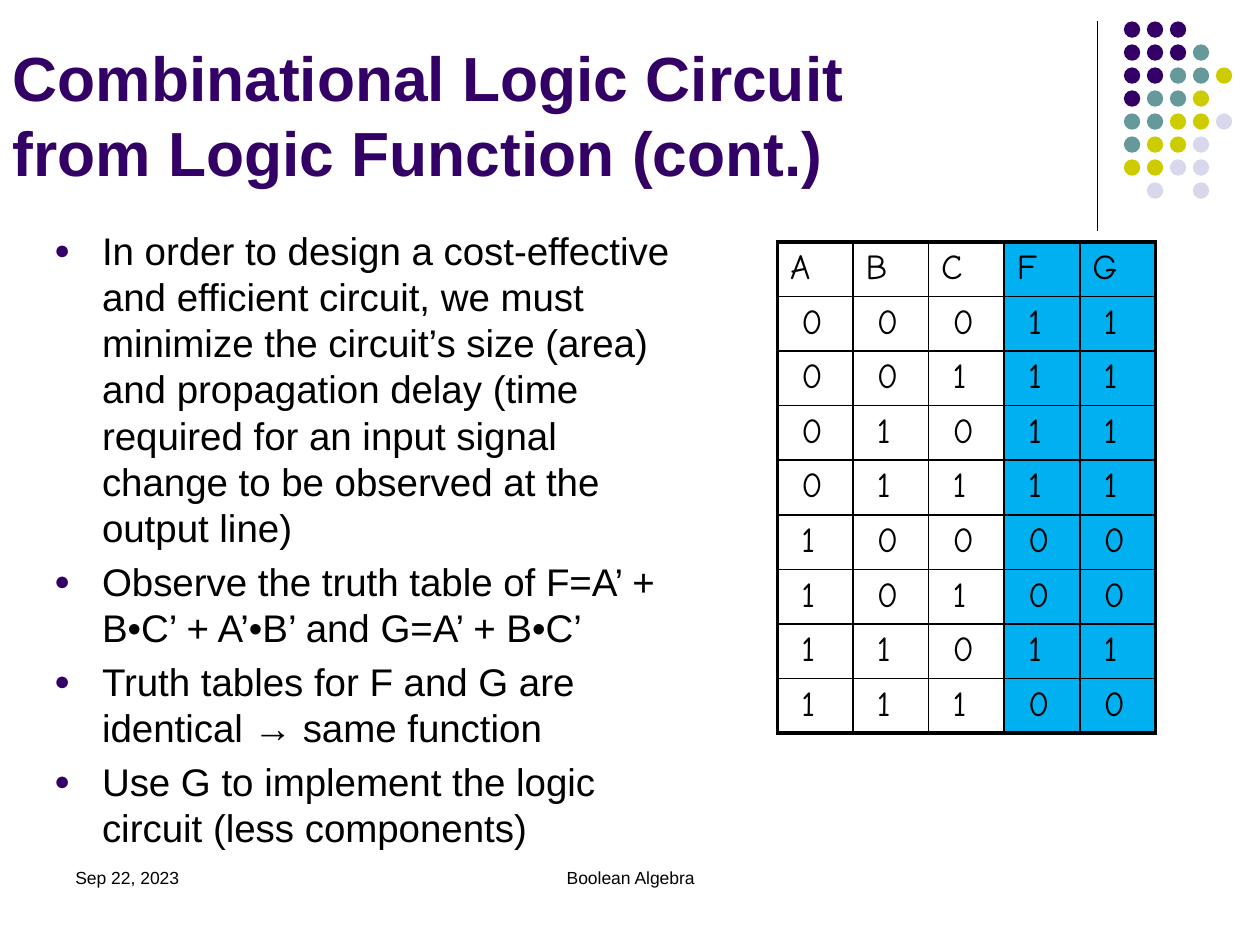
"""Build the slide on minimising a logic circuit, with its truth table."""
from lxml import etree
from pptx import Presentation, util as u
from pptx.dml.color import RGBColor
from pptx.enum import shapes, text
from pptx.oxml import ns

COLORS = {"purple": "330066", "teal": "669999", "olive": "CCCC00", "lilac": "D8D8EC",
          "black": "000000", "blue": "00B0F0"}
Inches, Pt = u.Inches, u.Pt


def add_span(para, words, size, color="black", font="Arial", bold=False):
    span = para.add_run()
    span.text = words
    span.font.name, span.font.size, span.font.bold = font, Pt(size), bold
    span.font.color.rgb = RGBColor.from_string(COLORS[color])


def add_node(parent, tag, **attributes):
    return etree.SubElement(parent, ns.qn(tag), **attributes)


deck = Presentation()
deck.slide_width, deck.slide_height = Inches(10), Inches(7.5)
page = deck.slides.add_slide(deck.slide_layouts[1])

rule = page.shapes.add_connector(shapes.MSO_CONNECTOR.STRAIGHT, Inches(8.71), Inches(0.17),
                                 Inches(8.71), Inches(1.83))
rule.line.color.rgb = RGBColor.from_string(COLORS["black"])
rule.line.width = Pt(0.75)
add_node(rule._element.spPr, "a:effectLst")

DOT_ROWS = ["PPP", "PPPT", "PPTTO", "PTTO", "TTOOL", "TOOL", "OOLL", " L L"]
DOT_COLORS = {"P": "purple", "T": "teal", "O": "olive", "L": "lilac"}
pitch = Inches(0.73) / 4
dots = page.shapes.add_group_shape()
for row, letters in enumerate(DOT_ROWS):
    for column, letter in enumerate(letters):
        if letter in DOT_COLORS:
            dot = dots.shapes.add_shape(
                shapes.MSO_SHAPE.OVAL, int(Inches(8.92) + column * pitch),
                int(Inches(0.17) + row * pitch), Inches(0.13), Inches(0.13))
            dot.shadow.inherit = False
            dot.fill.solid()
            dot.fill.fore_color.rgb = RGBColor.from_string(COLORS[DOT_COLORS[letter]])
            dot.line.fill.background()

title = page.shapes.title
title.left, title.top, title.width, title.height = Inches(0), Inches(0.3), Inches(10), Inches(1.25)
title.text_frame.auto_size = text.MSO_AUTO_SIZE.NONE
title.text_frame.vertical_anchor = text.MSO_ANCHOR.BOTTOM
para = title.text_frame.paragraphs[0]
para.alignment = text.PP_ALIGN.LEFT
add_span(para, "Combinational Logic Circuit", 35.6, "purple", bold=True)
para.add_line_break()
add_span(para, "from Logic Function (cont.)", 35.6, "purple", bold=True)

POINTS = [
    "In order to design a cost-effective and efficient circuit, we must minimize the circuit’s "
    "size (area) and propagation delay (time required for an input signal change to be observed "
    "at the output line)",
    "Observe the truth table of F=A’ + B•C’ + A’•B’ and G=A’ + B•C’",
    "Truth tables for F and G are identical → same function",
    "Use G to implement the logic circuit (less components)",
]
body = page.placeholders[1]
body.left, body.top, body.width, body.height = Inches(0.33), Inches(1.75), Inches(5.25), Inches(4.95)
body.text_frame.auto_size = text.MSO_AUTO_SIZE.NONE
for number, point in enumerate(POINTS):
    para = body.text_frame.add_paragraph() if number else body.text_frame.paragraphs[0]
    props = para._p.get_or_add_pPr()
    props.set("marL", str(Inches(0.38)))
    props.set("indent", str(-Inches(0.38)))
    add_node(add_node(props, "a:buClr"), "a:srgbClr", val=COLORS["purple"])
    add_node(props, "a:buSzPct", val="70000")
    add_node(props, "a:buFont", typeface="Arial")
    add_node(props, "a:buChar", char="●")
    para.space_before = Pt(4.4 if number else 0)
    add_span(para, point, 22)

TRUTH_TABLE = ["ABCFG", "00011", "00111", "01011", "01111", "10000", "10100", "11011", "11100"]
last_row, last_column = len(TRUTH_TABLE) - 1, len(TRUTH_TABLE[0]) - 1
table = page.shapes.add_table(last_row + 1, last_column + 1, Inches(6.17), Inches(1.92),
                              Inches(3), Inches(3.9)).table
table.first_row = table.horz_banding = False
for row, values in enumerate(TRUTH_TABLE):
    for column, value in enumerate(values):
        cell = table.cell(row, column)
        cell.margin_left = Inches(0.19 if row else 0.1)
        outer_edges = {"a:lnL": column == 0, "a:lnR": column == last_column,
                       "a:lnT": row == 0, "a:lnB": row == last_row}
        for tag, outer in outer_edges.items():
            edge = add_node(cell._tc.get_or_add_tcPr(), tag, w=str(Pt(2.21 if outer else 0.96)))
            add_node(add_node(edge, "a:solidFill"), "a:srgbClr", val=COLORS["black"])
        if column >= 3:
            cell.fill.solid()
            cell.fill.fore_color.rgb = RGBColor.from_string(COLORS["blue"])
        else:
            cell.fill.background()
        add_span(cell.text_frame.paragraphs[0], value, 20, font="Comic Neue")

FOOTERS = [("Sep 22, 2023", 0.5, 2.33, text.PP_ALIGN.LEFT),
           ("Boolean Algebra", 3.42, 3.17, text.PP_ALIGN.CENTER)]
for words, left, width, alignment in FOOTERS:
    box = page.shapes.add_textbox(Inches(left), Inches(6.83), Inches(width), Inches(0.5))
    box.text_frame.word_wrap = True
    para = box.text_frame.paragraphs[0]
    para.alignment = alignment
    add_span(para, words, 10)

deck.save("out.pptx")
